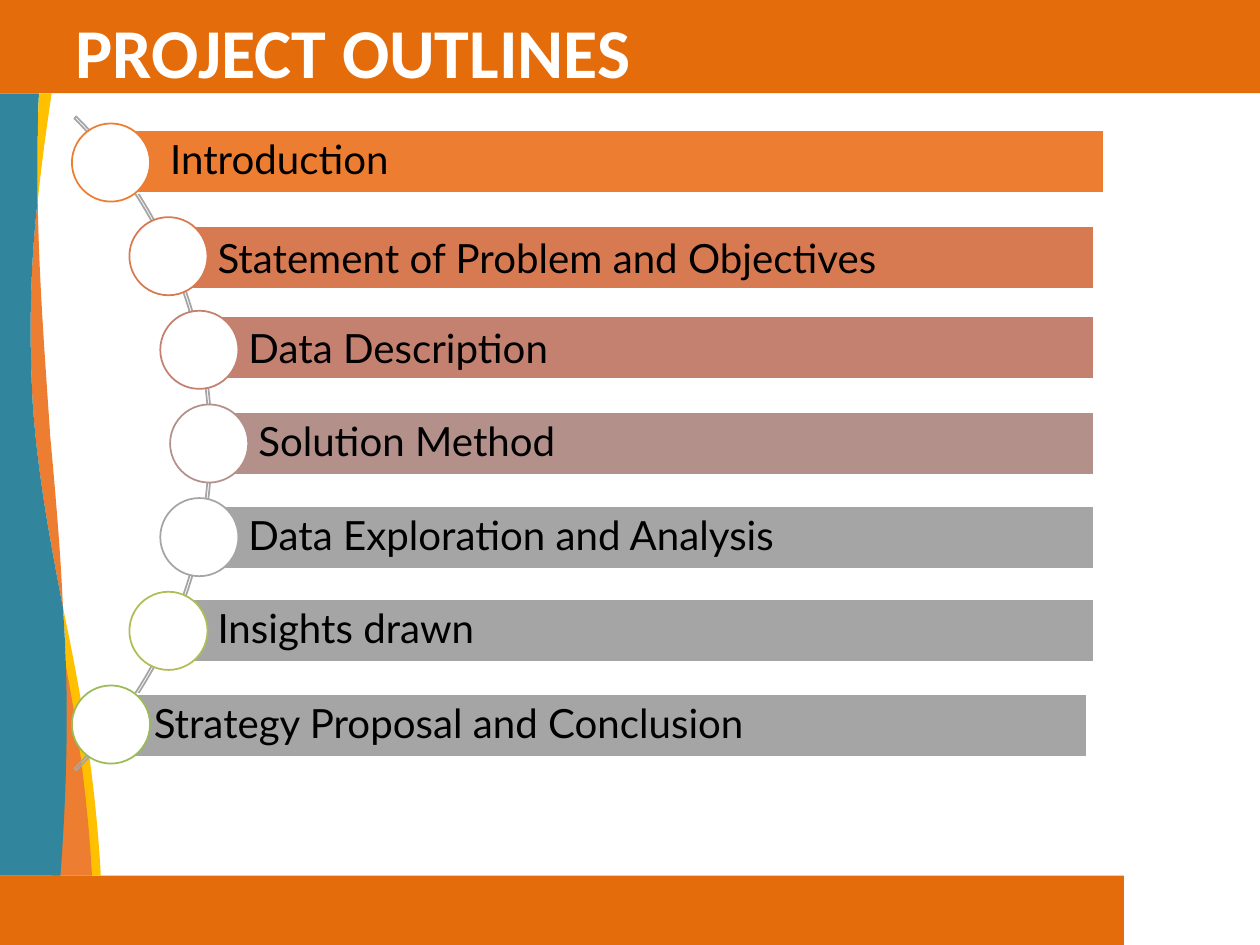
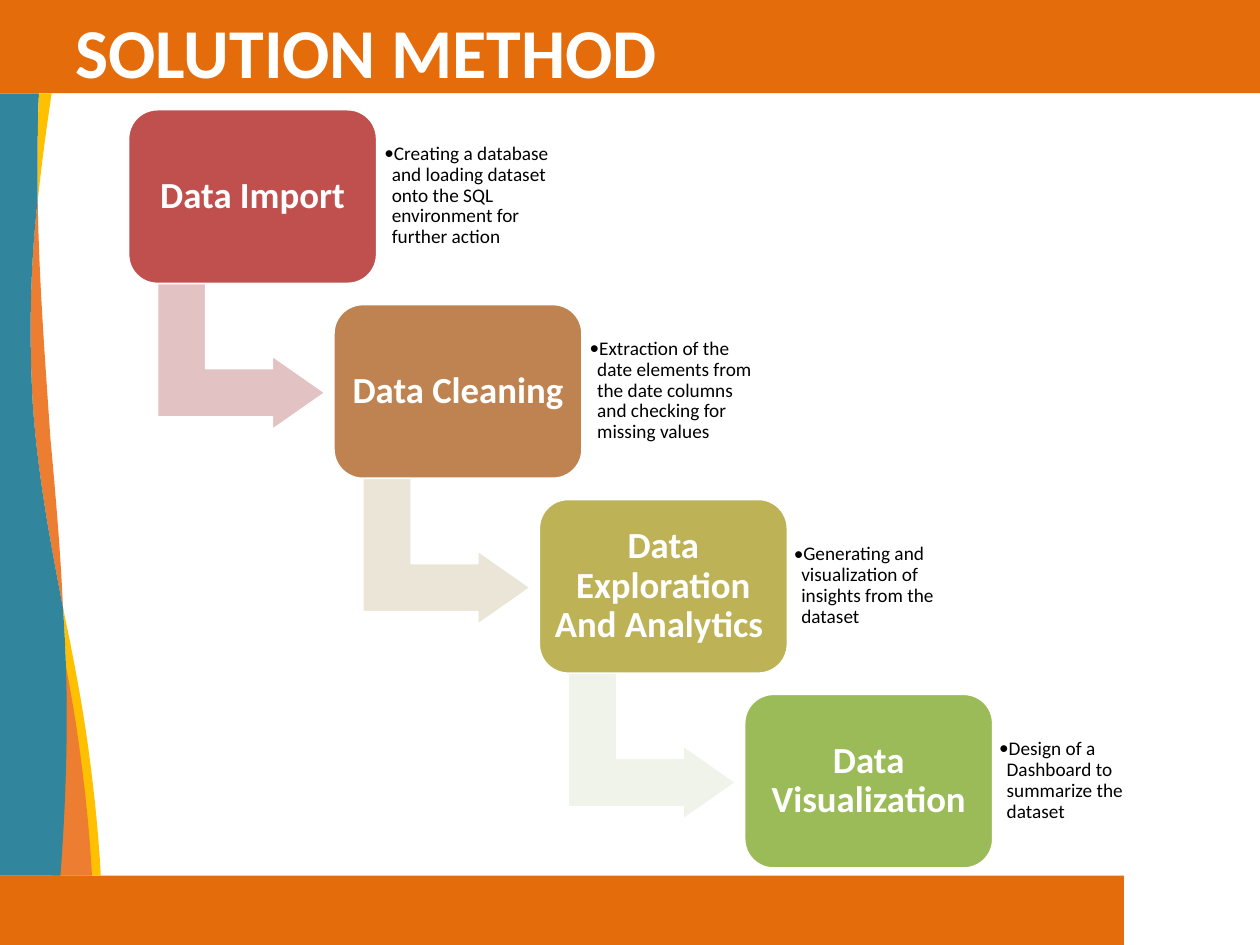
from math import sqrt

from lxml.etree import SubElement
from pptx import Presentation
from pptx.dml.color import RGBColor
from pptx.enum.shapes import MSO_SHAPE
from pptx.enum.text import MSO_ANCHOR, MSO_AUTO_SIZE, PP_ALIGN
from pptx.oxml.ns import qn
from pptx.util import Inches, Pt

ORANGE, TEAL, AMBER, TANGERINE = "E46C0A", "31859C", "FFC000", "ED7D31"
WHITE, BLACK, GREY = "FFFFFF", "000000", "A5A5A5"

# Bezier chains: a start point, then two controls and an end point per curve
TOP_EDGE = [(0.31, 0.74), (0.3, 0.91), (0.3, 1.08), (0.3, 1.25),
            (0.3, 1.36), (0.3, 1.47), (0.3, 1.59)]
MIDDLE_EDGE = [(0.3, 1.59), (0.24, 2.11), (0.23, 2.66), (0.26, 3.2),
               (0.3, 3.77), (0.4, 4.3), (0.5, 4.82)]
BOTTOM_EDGE = [(0.5, 4.82), (0.52, 5.1), (0.53, 5.39), (0.53, 5.69),
               (0.53, 6.12), (0.51, 6.55), (0.48, 6.95)]
TOP_RIBBON = [(0.3, 1.59), (0.33, 1.3), (0.37, 1.01), (0.41, 0.74)]
MIDDLE_RIBBON = [(0.5, 4.82), (0.48, 4.36), (0.44, 3.91), (0.4, 3.47),
                 (0.36, 2.87), (0.31, 2.24), (0.3, 1.59)]
BOTTOM_RIBBON = [(0.8, 6.95), (0.78, 6.58), (0.74, 6.21), (0.69, 5.86),
                 (0.64, 5.51), (0.57, 5.16), (0.5, 4.82)]

# topic, bar colour, circle colour, bar shift (x, y), line spacing
TOPICS = [
    ("Introduction", TANGERINE, TANGERINE, (0.08, -0.01), 0.9),
    ("Statement of Problem and Objectives", "D87A51", "D87A51", (0, 0.01), 1.0),
    ("Data Description", "C48170", "C48170", (0, -0.02), 1.0),
    ("Solution Method", "B4908B", "B4908B", (0, 0), 0.9),
    ("Data Exploration and Analysis", GREY, GREY, (0, 0), 0.9),
    ("Insights drawn", GREY, "B1BC57", (0, 0), 0.9),
    ("Strategy Proposal and Conclusion", GREY, "9BBB59", (-0.05, 0.01), 0.9),
]

# step, box colour, colour of the arrow to the next step, detail, detail inset
STEPS = [
    ("Data Import", "C0504D", "E2C2C2",
     "Creating a database and loading dataset onto the SQL environment for further action", 0.06),
    ("Data Cleaning", "BE8351", "EAE5D6",
     "Extraction of the date elements from the date columns and checking for missing values", 0.06),
    ("Data Exploration And Analytics ", "BDB255", "EFF3EA",
     "Generating and visualization of insights from the dataset", 0.05),
    ("Data Visualization", "9BBB59", None,
     "Design of a Dashboard to summarize the dataset", 0.05),
]


def rgb(hex_colour):
    return RGBColor.from_string(hex_colour)


def paint(shape, fill=None, line=None):
    shape.shadow.inherit = False
    if fill:
        shape.fill.solid()
        shape.fill.fore_color.rgb = rgb(fill)
    else:
        shape.fill.background()
    if line:
        shape.line.color.rgb = rgb(line)
        shape.line.width = Pt(1)
    else:
        shape.line.fill.background()


def add_preset(slide, preset, box, fill=None, line=None, adjustments=()):
    shape = slide.shapes.add_shape(preset, *map(Inches, box))
    for index, value in enumerate(adjustments):
        shape.adjustments[index] = value
    paint(shape, fill, line)
    return shape


def write(shape, text, size, font="Calibri", colour=BLACK, bold=False,
          align=PP_ALIGN.LEFT, anchor=MSO_ANCHOR.MIDDLE,
          insets=(0.1, 0.05, 0.1, 0.05), spacing=None):
    """Fill the shape with one formatted paragraph and return it."""
    frame = shape.text_frame
    frame.word_wrap = True
    frame.auto_size = MSO_AUTO_SIZE.NONE
    frame.vertical_anchor = anchor
    (frame.margin_left, frame.margin_top,
     frame.margin_right, frame.margin_bottom) = map(Inches, insets)
    paragraph = frame.paragraphs[0]
    paragraph.alignment = align
    paragraph.line_spacing = spacing
    run = paragraph.add_run()
    run.text = text
    run.font.name = font
    run.font.size = Pt(size)
    run.font.bold = bold
    run.font.color.rgb = rgb(colour)
    return paragraph


def add_bullet(paragraph, indent):
    properties = paragraph._p.get_or_add_pPr()
    properties.set("marL", str(Inches(indent)))
    properties.set("indent", str(-Inches(indent)))
    SubElement(properties, qn("a:buFont")).set("typeface", "Calibri")
    SubElement(properties, qn("a:buChar")).set("char", "•")


def add_outline(slide, chains, fill, shift=0):
    """Draw a closed outline of Bezier chains, joined by straight lines."""
    points, curve_starts = [], []
    for chain in chains:
        if not points or points[-1] != chain[0]:
            points.append(chain[0])
        curve_starts += range(len(points), len(points) + len(chain) - 1, 3)
        points += chain[1:]
    places = [(Inches(x + shift), Inches(y)) for x, y in points]
    builder = slide.shapes.build_freeform(*places[0])
    builder.add_line_segments(places[1:], close=True)
    outline = builder.convert_to_shape()
    paint(outline, fill)
    segments = list(outline.element.iter(qn("a:lnTo")))
    for start in curve_starts:
        curve, *others = segments[start - 1:start + 2]
        curve.tag = qn("a:cubicBezTo")
        for other in others:
            curve.append(other[0])
            other.getparent().remove(other)


def add_wave(slide):
    """Draw the teal border and its coloured ribbons at the left edge."""
    lower_ribbon = [BOTTOM_EDGE, BOTTOM_RIBBON]
    add_outline(slide, lower_ribbon, AMBER)
    add_outline(slide, [MIDDLE_EDGE, MIDDLE_RIBBON], TANGERINE)
    add_outline(slide, lower_ribbon, TANGERINE, shift=-0.07)
    add_outline(slide, [[(0, 0.74)], TOP_EDGE, MIDDLE_EDGE, BOTTOM_EDGE, [(0, 6.95)]], TEAL)
    add_outline(slide, [TOP_RIBBON, TOP_EDGE], AMBER)


def decorate_layout(layout, slide):
    """Draw the shared bands and wave, then move them behind the layout's parts."""
    add_preset(slide, MSO_SHAPE.RECTANGLE, (-0.03, 0, 10.03, 0.74), ORANGE)
    add_preset(slide, MSO_SHAPE.RECTANGLE, (0, 6.95, 8.92, 0.55), ORANGE)
    add_wave(slide)
    decorations = [s for s in slide.shapes if not s.is_placeholder]
    for position, shape in enumerate(decorations, start=2):
        layout.shapes.element.insert(position, shape.element)


def set_title(slide, text, width):
    title = slide.shapes.title
    title.left, title.top, title.width, title.height = map(
        Inches, (0.5, 0.02, width, 0.77))
    write(title, text, 40, colour=WHITE, bold=True, anchor=MSO_ANCHOR.TOP)


def add_outline_list(slide, box):
    """Set the topics along an arc that bulges to the right."""
    left, top, width, height = box
    circle, bar_height, arc_size, track = 0.62, 0.5, 7.34, 3.58
    middle = top + height / 2
    track_centre = left - 2.49
    pitch = (height - circle) / (len(TOPICS) - 1)
    add_preset(slide, MSO_SHAPE.BLOCK_ARC,
               (left - 6.23, middle - arc_size / 2, arc_size, arc_size),
               line=GREY, adjustments=(189, 27, 0.003))
    for index, (topic, fill, ring, (dx, dy), spacing) in enumerate(TOPICS):
        y = top + circle / 2 + index * pitch
        x = track_centre + sqrt(track ** 2 - (y - middle) ** 2)
        bar = add_preset(slide, MSO_SHAPE.RECTANGLE,
                         (x + dx, y - bar_height / 2 + dy, left + width - x, bar_height),
                         fill, WHITE)
        write(bar, topic, 23, font="Lato", insets=(0.39, 0.06, 0.06, 0.06),
              spacing=spacing)
        add_preset(slide, MSO_SHAPE.OVAL,
                   (x - circle / 2, y - circle / 2, circle, circle), WHITE, ring)


def add_step_flow(slide, box):
    """Set the steps on a falling diagonal; details stand right of each step."""
    left, top, width, height = box
    step_width, step_height, detail_width = 1.97, 1.38, 1.43
    gaps = len(STEPS) - 1
    pitch_x = (width - step_width - detail_width) / gaps
    pitch_y = (height - step_height) / gaps
    for index, (step, fill, arrow_fill, detail, inset) in enumerate(STEPS):
        x, y = left + index * pitch_x, top + index * pitch_y
        if arrow_fill:
            arrow = add_preset(slide, MSO_SHAPE.BENT_UP_ARROW,
                               (x + 0.31, y + 1.29, 1.17, 1.33), arrow_fill, WHITE,
                               (0.328, 0.25, 0.358))
            arrow.rotation = 90
        node = add_preset(slide, MSO_SHAPE.ROUNDED_RECTANGLE,
                          (x, y, step_width, step_height), fill, WHITE)
        write(node, step, 21, colour=WHITE, bold=True, align=PP_ALIGN.CENTER,
              insets=(0.02,) * 4, spacing=0.9)
        note = slide.shapes.add_textbox(*map(
            Inches, (x + step_width, y + 0.13, detail_width, 1.11)))
        add_bullet(write(note, detail, 11, insets=(inset,) * 4, spacing=0.9), 0.06)


def main():
    deck = Presentation()
    deck.slide_width, deck.slide_height = Inches(10), Inches(7.5)
    layout = deck.slide_layouts.get_by_name("Title Only")

    outlines = deck.slides.add_slide(layout)
    decorate_layout(layout, outlines)
    set_title(outlines, "PROJECT OUTLINES", 6.17)
    add_outline_list(outlines, (0.57, 0.98, 8.11, 5.08))

    method = deck.slides.add_slide(layout)
    set_title(method, "SOLUTION METHOD", 7.25)
    add_step_flow(method, (1.02, 0.87, 8.29, 6.02))

    deck.save("out.pptx")


if __name__ == "__main__":
    main()
